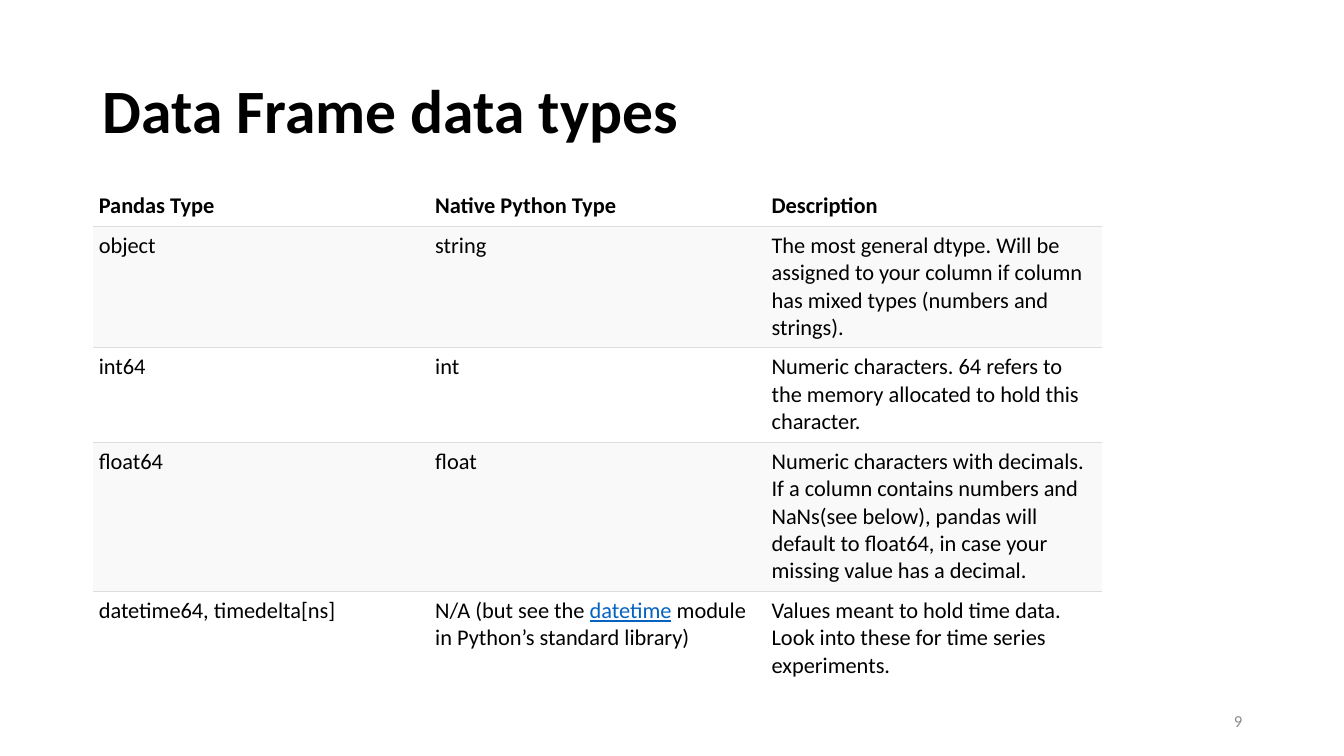
from lxml.etree import SubElement
from pptx import Presentation
from pptx.dml.color import RGBColor
from pptx.enum.text import MSO_ANCHOR as ANCHOR, PP_ALIGN as ALIGN
from pptx.oxml.ns import qn
from pptx.util import Inches, Pt

COLORS = {"text": "000000", "link": "0563C1", "number": "8C8C8C",
          "rule": "DDDDDD", "band": "F9F9F9", "plain": "FFFFFF"}
FONT = "Calibri"
HEADINGS = ["Pandas Type", "Native Python Type", "Description"]
DATA_TYPES = [
    ["object", "string",
     "The most general dtype. Will be assigned to your column if column has "
     "mixed types (numbers and strings)."],
    ["int64", "int",
     "Numeric characters. 64 refers to the memory allocated to hold this character."],
    ["float64", "float",
     "Numeric characters with decimals. If a column contains numbers and "
     "NaNs(see below), pandas will default to float64, in case your missing "
     "value has a decimal."],
    ["datetime64, timedelta[ns]",
     [("N/A (but see the\u00a0", {}),
      ("datetime", {"color": "link", "underline": True}),
      ("\u00a0module in Python\u2019s standard library)", {})],
     "Values meant to hold time data. Look into these for time series experiments."],
]
ROW_HEIGHTS = [0.38, 1.16, 0.9, 1.42, 0.9]


def write(frame, text, size=16, bold=False, align=ALIGN.LEFT,
          anchor=ANCHOR.TOP, spacing=None):
    """Fill a text frame with a string or a list of (text, format) runs."""
    frame.word_wrap = True
    frame.vertical_anchor = anchor
    paragraph = frame.paragraphs[0]
    paragraph.alignment = align
    paragraph.line_spacing = spacing
    for part, style in [(text, {})] if isinstance(text, str) else text:
        run = paragraph.add_run()
        run.text = part
        font = run.font
        font.name, font.size, font.bold = FONT, Pt(size), bold
        font.underline = style.get("underline", False)
        color = style.get("color", "text")
        font.color.rgb = RGBColor.from_string(COLORS[color])


def set_borders(cell, ruled_sides):
    """Draw thin rules on the given sides of a cell and clear the others."""
    properties = cell._tc.get_or_add_tcPr()
    for side in "LRTB":
        line = SubElement(properties, qn(f"a:ln{side}"), w=str(Pt(0.6)))
        if side in ruled_sides:
            fill = SubElement(line, qn("a:solidFill"))
            SubElement(fill, qn("a:srgbClr"), val=COLORS["rule"])
        else:
            SubElement(line, qn("a:noFill"))


def add_title(slide, text, left, top, width, height):
    """Place and format the title placeholder."""
    title = slide.shapes.title
    title.left, title.top = Inches(left), Inches(top)
    title.width, title.height = Inches(width), Inches(height)
    write(title.text_frame, text, size=44, bold=True,
          anchor=ANCHOR.MIDDLE, spacing=0.9)


def add_type_table(slide, left, top, width):
    """Add the banded table of data types with rules between its rows."""
    rows = [HEADINGS] + DATA_TYPES
    types = slide.shapes.add_table(
        len(rows), len(HEADINGS), Inches(left), Inches(top),
        Inches(width), Inches(sum(ROW_HEIGHTS))).table
    for column in types.columns:
        column.width = Inches(width / len(HEADINGS))
    last = len(rows) - 1
    for r, (entries, height) in enumerate(zip(rows, ROW_HEIGHTS)):
        types.rows[r].height = Inches(height)
        sides = ("T" if r > 0 else "") + ("B" if r < last else "")
        for c, entry in enumerate(entries):
            cell = types.cell(r, c)
            set_borders(cell, sides)
            cell.fill.solid()
            shade = COLORS["band" if r % 2 else "plain"]
            cell.fill.fore_color.rgb = RGBColor.from_string(shade)
            cell.margin_left = cell.margin_right = Inches(0.06)
            cell.margin_top = cell.margin_bottom = Inches(0.06)
            cell.vertical_anchor = ANCHOR.TOP if r else ANCHOR.BOTTOM
            write_cell(cell, entry, bold=r == 0)


def write_cell(cell, entry, bold):
    """Write a table entry, keeping the anchor of its cell."""
    anchor = cell.vertical_anchor
    write(cell.text_frame, entry, bold=bold)
    cell.vertical_anchor = anchor


def add_page_number(slide, number, left, top, width, height):
    """Add the grey page number, aligned to the right of its box."""
    page = slide.shapes.add_textbox(
        Inches(left), Inches(top), Inches(width), Inches(height))
    write(page.text_frame, [(number, {"color": "number"})], size=12,
          align=ALIGN.RIGHT, anchor=ANCHOR.MIDDLE)


def build():
    """Build and save the slide."""
    deck = Presentation()
    deck.slide_width, deck.slide_height = Inches(13.33), Inches(7.5)
    slide = deck.slides.add_slide(deck.slide_layouts[5])
    add_title(slide, "Data Frame data types", 0.92, 0.4, 11.5, 1.45)
    add_type_table(slide, 0.92, 1.85, 10.01)
    add_page_number(slide, "9", 9.42, 6.95, 3, 0.4)
    deck.save("out.pptx")


build()
